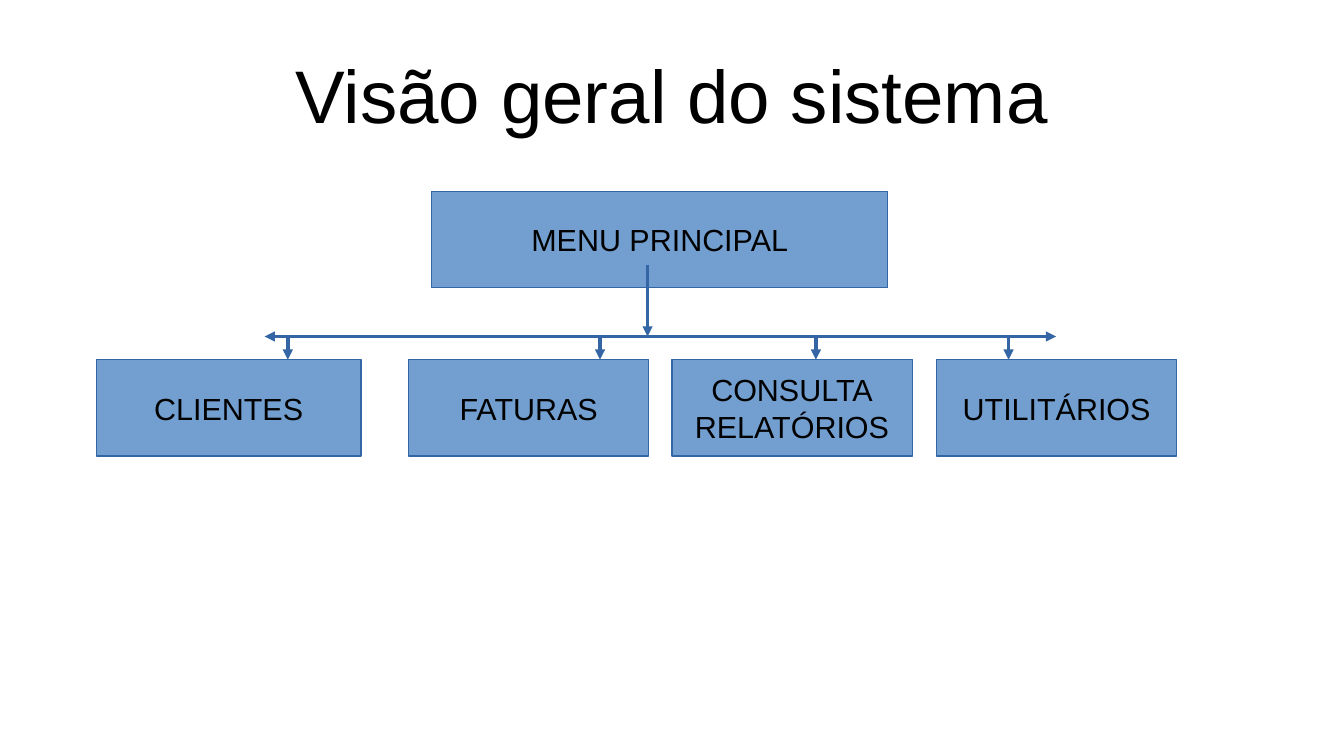
from lxml import etree
from pptx import Presentation
from pptx import util as u
from pptx.dml.color import RGBColor
from pptx.enum import shapes, text
from pptx.oxml.ns import qn

BLUE, EDGE, BLACK = "729FCF", "3465A4", "000000"
BOX_HEIGHT = 0.79


def color(hex_value):
    return RGBColor.from_string(hex_value)


def write(frame, content, size):
    """Fill a text frame with centred lines of black Arial."""
    frame.text = content
    frame.vertical_anchor = text.MSO_ANCHOR.MIDDLE
    for paragraph in frame.paragraphs:
        paragraph.alignment = text.PP_ALIGN.CENTER
        paragraph.font.name = "Arial"
        paragraph.font.size = u.Pt(size)
        paragraph.font.color.rgb = color(BLACK)


def add_title(slide, left, top, width, height, content):
    title = slide.shapes.add_textbox(*map(u.Inches, (left, top, width, height)))
    frame = title.text_frame
    frame.word_wrap = True
    frame.margin_left = frame.margin_right = 0
    frame.margin_top = frame.margin_bottom = 0
    write(frame, content, 44)


def add_menu_box(slide, left, top, width, label):
    box = slide.shapes.add_shape(
        shapes.MSO_SHAPE.RECTANGLE,
        *map(u.Inches, (left, top, width, BOX_HEIGHT)))
    box.shadow.inherit = False
    box.fill.solid()
    box.fill.fore_color.rgb = color(BLUE)
    box.line.color.rgb = color(EDGE)
    box.line.width = 0
    box.text_frame.word_wrap = False
    write(box.text_frame, label, 18)


def add_arrow(slide, x1, y1, x2, y2):
    arrow = slide.shapes.add_connector(
        shapes.MSO_CONNECTOR.STRAIGHT, *map(u.Inches, (x1, y1, x2, y2)))
    arrow.line.color.rgb = color(EDGE)
    arrow.line.width = 0
    etree.SubElement(arrow.line._get_or_add_ln(), qn("a:tailEnd"), type="triangle")
    etree.SubElement(arrow._element.spPr, qn("a:effectLst"))


def add_menu_tree(slide, left, top, width, height):
    """Draw the main menu, its branches and the submenus along the bottom."""
    submenu_top = top + height - BOX_HEIGHT
    branch_y = submenu_top - 0.19
    trunk_x = left + 4.52
    # label, offset from the left, width, offset of its arrow
    submenus = [
        ("CLIENTES", 0, 2.17, 1.57),
        ("FATURAS", 2.56, 1.97, 4.13),
        ("CONSULTA\nRELATÓRIOS", 4.72, 1.97, 5.9),
        ("UTILITÁRIOS", width - 1.97, 1.97, 7.48),
    ]

    add_menu_box(slide, left + 2.75, top, 3.74, "MENU PRINCIPAL")
    for label, offset, box_width, _ in submenus:
        add_menu_box(slide, left + offset, submenu_top, box_width, label)

    add_arrow(slide, trunk_x, top + 0.6, trunk_x, branch_y)
    for branch_end in (left + 1.38, left + 7.87):
        add_arrow(slide, trunk_x, branch_y, branch_end, branch_y)
    for *_, drop in submenus:
        add_arrow(slide, left + drop, branch_y, left + drop, submenu_top)


def main():
    deck = Presentation()
    deck.slide_width, deck.slide_height = u.Inches(11.02), u.Inches(6.2)
    slide = deck.slides.add_slide(deck.slide_layouts[6])
    add_title(slide, 0.55, 0.25, 9.92, 1.04, "Visão geral do sistema")
    add_menu_tree(slide, 0.79, 1.57, 8.86, 2.17)
    deck.save("out.pptx")


if __name__ == "__main__":
    main()
